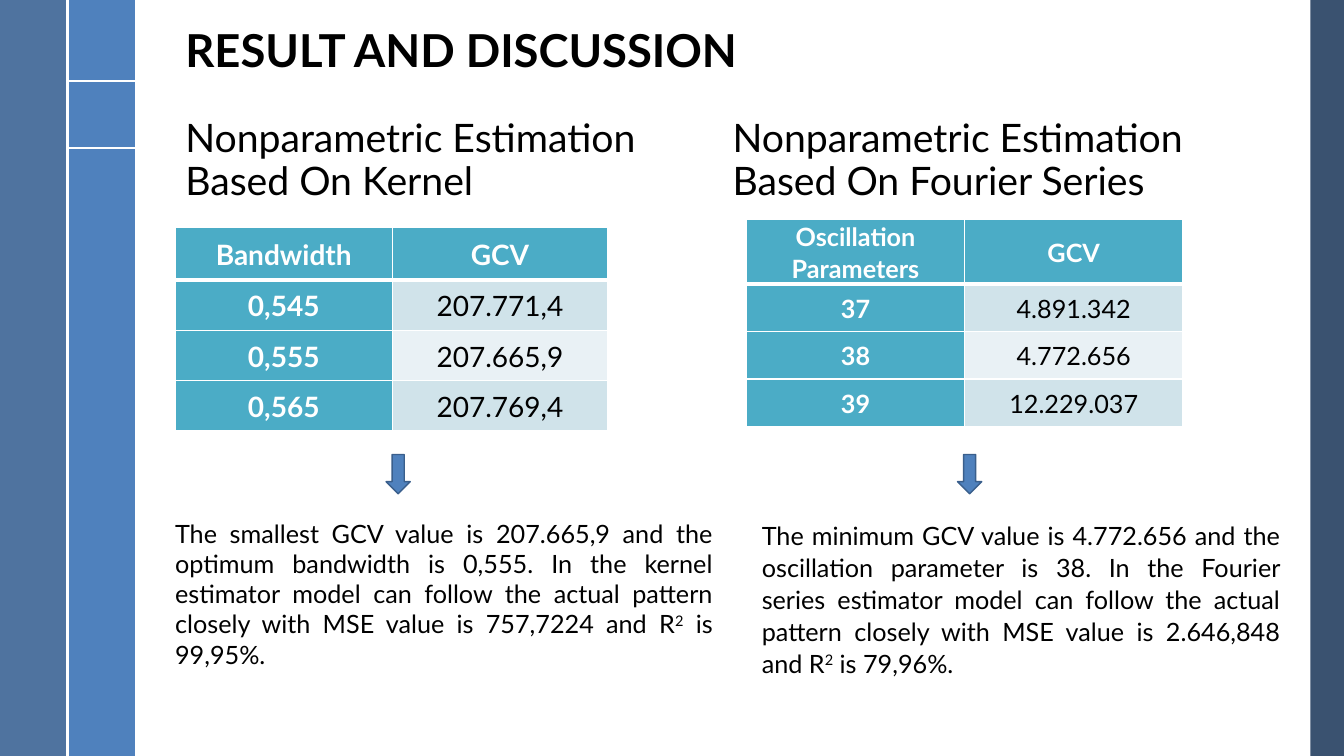
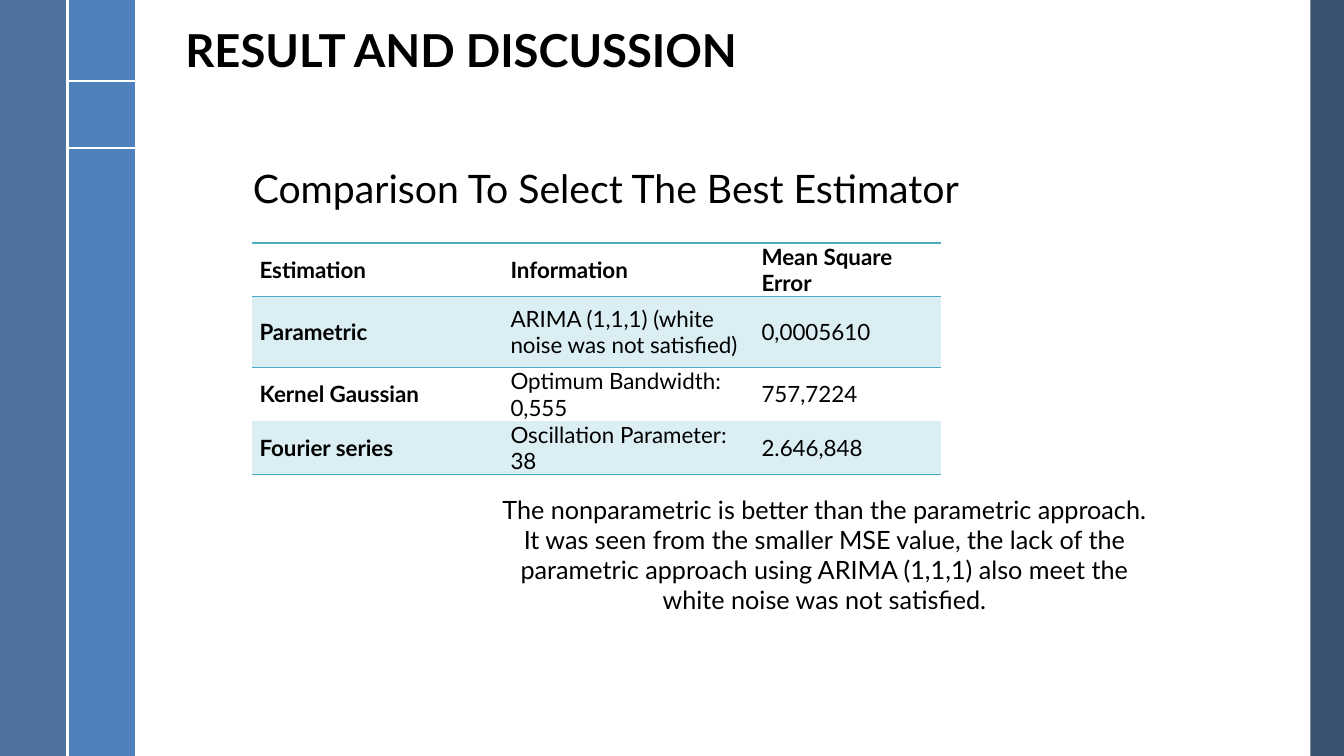
from dataclasses import dataclass

from lxml import etree
from pptx import Presentation
from pptx.dml.color import RGBColor
from pptx.enum.shapes import MSO_CONNECTOR, MSO_SHAPE
from pptx.enum.text import MSO_ANCHOR, PP_ALIGN
from pptx.oxml.ns import qn
from pptx.util import Pt

RECT, DOWN_ARROW = MSO_SHAPE.RECTANGLE, MSO_SHAPE.DOWN_ARROW
LEFT, CENTER, JUSTIFY = PP_ALIGN.LEFT, PP_ALIGN.CENTER, PP_ALIGN.JUSTIFY
TOP, MIDDLE, BOTTOM = MSO_ANCHOR.TOP, MSO_ANCHOR.MIDDLE, MSO_ANCHOR.BOTTOM
NO_TABLE_STYLE = "{2D5ABB26-0587-4C30-8999-92F81FD0307C}"


@dataclass(frozen=True)
class Theme:
    font: str = "Lato"
    text: str = "000000"
    white: str = "FFFFFF"
    blue: str = "4F81BD"
    blue_edge: str = "3A5F8C"
    left_band: str = "376092"
    right_band: str = "254061"
    teal: str = "4BACC6"
    band_dark: str = "D0E3EA"
    band_light: str = "E9F1F5"
    band_pale: str = "DBEEF4"
    title_size: float = 32.4
    heading_size: float = 28
    body_size: float = 18
    comparison_size: float = 16


T = Theme()
WIDTH, HEIGHT = 960, 540
BAND = 48.2
TITLE = "RESULT AND DISCUSSION"

# Boxes are (left, top, width, height)
ESTIMATORS = [
    dict(
        heading="Nonparametric Estimation Based On Kernel",
        heading_box=(125.3, 79, 379.4, 70),
        rows=[("Bandwidth", "GCV"), ("0,545", "207.771,4"),
              ("0,555", "207.665,9"), ("0,565", "207.769,4")],
        table_at=(125.3, 162.5), col_widths=(154.8, 154.1),
        row_heights=(37.4, 36, 36, 36), size=20,
        arrow_left=275.8,
        finding=["The smallest GCV value is 207.665,9 and the optimum bandwidth is "
                 "0,555. In the kernel estimator model can follow the actual pattern "
                 "closely with MSE value is 757,7224 and R", "2", " is 99,95%."],
        finding_box=(118, 366.5, 398.2, 116.6), spacing=1.0,
    ),
    dict(
        heading="Nonparametric Estimation Based On Fourier Series",
        heading_box=(516.2, 79, 379.4, 70),
        rows=[("Oscillation Parameters", "GCV"), ("37", "4.891.342"),
              ("38", "4.772.656"), ("39", "12.229.037")],
        table_at=(533, 157), col_widths=(156.2, 155.5),
        row_heights=(45.8, 34, 34, 34), size=18,
        arrow_left=684,
        finding=["The minimum GCV value is 4.772.656 and the oscillation parameter is "
                 "38. In the Fourier series estimator model can follow the actual "
                 "pattern closely with MSE value is 2.646,848 and R", "2", " is 79,96%."],
        finding_box=(537.1, 366.5, 384.5, 123), spacing=1.06,
    ),
]
COMPARISON = dict(
    heading="Comparison To Select The Best Estimator",
    heading_box=(173.5, 111.6, 720, 45.4),
    rows=[("Estimation", "Information", "Mean Square Error"),
          ("Parametric", "ARIMA (1,1,1) (white noise was not satisfied)", "0,0005610"),
          ("Kernel Gaussian", "Optimum Bandwidth: 0,555", "757,7224"),
          ("Fourier series", "Oscillation Parameter: 38", "2.646,848")],
    table_at=(180, 173.5), col_widths=(179.3, 179.3, 133.9),
    row_heights=(38.3, 50.4, 38.3, 38.3),
    conclusion="The nonparametric is better than the parametric approach. It was seen "
               "from the smaller MSE value, the lack of the parametric approach using "
               "ARIMA (1,1,1) also meet the white noise was not satisfied.",
    conclusion_box=(349.2, 349.2, 479.5, 94.3),
)


def pts(values):
    return [Pt(v) for v in values]


def rgb(color):
    return RGBColor.from_string(color)


def style_runs(p, size, color=T.text, bold=False):
    for r in p.runs:
        r.font.name, r.font.size, r.font.bold = T.font, Pt(size), bold
        r.font.color.rgb = rgb(color)


def add_text(slide, box, parts, size, align=LEFT, anchor=TOP, spacing=1.0, bold=False):
    """Add one paragraph; every second part is superscript."""
    tf = slide.shapes.add_textbox(*pts(box)).text_frame
    tf.word_wrap, tf.vertical_anchor = True, anchor
    p = tf.paragraphs[0]
    p.alignment, p.line_spacing = align, spacing
    for i, part in enumerate(parts):
        r = p.add_run()
        r.text = part
        if i % 2:
            r.font._element.set("baseline", "30000")
    style_runs(p, size, bold=bold)


def add_filled(slide, kind, box, fill, line=None, opacity=100):
    sp = slide.shapes.add_shape(kind, *pts(box))
    sp.shadow.inherit = False
    sp.fill.solid()
    sp.fill.fore_color.rgb = rgb(fill)
    if opacity < 100:
        color = sp._element.spPr.find(".//" + qn("a:srgbClr"))
        etree.SubElement(color, qn("a:alpha")).set("val", str(opacity * 1000))
    if line:
        sp.line.color.rgb, sp.line.width = rgb(line), Pt(1)
    else:
        sp.line.fill.background()


def add_white_line(slide, *ends):
    line = slide.shapes.add_connector(MSO_CONNECTOR.STRAIGHT, *pts(ends))
    line.line.color.rgb, line.line.width = rgb(T.white), Pt(1.5)
    etree.SubElement(line._element.spPr, qn("a:effectLst"))


def set_borders(cell, borders):
    """Draw borders given as {side: (color, width)}, sides L, R, T and B."""
    tc_pr = cell._tc.get_or_add_tcPr()
    for side in "LRTB":
        if side in borders:
            color, width = borders[side]
            ln = etree.SubElement(tc_pr, qn("a:ln" + side), w=str(Pt(width)))
            fill = etree.SubElement(ln, qn("a:solidFill"))
            etree.SubElement(fill, qn("a:srgbClr"), val=color)


def add_table(slide, data, size, align, spacing, cell_style):
    """cell_style(row, column) gives fill, text colour, bold and borders."""
    rows, widths, heights = data["rows"], data["col_widths"], data["row_heights"]
    box = (*data["table_at"], sum(widths), sum(heights))
    table = slide.shapes.add_table(len(rows), len(widths), *pts(box)).table
    table.first_row = table.horz_banding = False
    table._tbl.tblPr.find(qn("a:tableStyleId")).text = NO_TABLE_STYLE
    for column, width in zip(table.columns, widths):
        column.width = Pt(width)
    for row, height in zip(table.rows, heights):
        row.height = Pt(height)
    for i, values in enumerate(rows):
        for j, value in enumerate(values):
            fill, color, bold, borders = cell_style(i, j)
            cell = table.cell(i, j)
            set_borders(cell, borders)
            if fill:
                cell.fill.solid()
                cell.fill.fore_color.rgb = rgb(fill)
            else:
                cell.fill.background()
            cell.vertical_anchor = MIDDLE
            cell.margin_left = cell.margin_right = Pt(5.4)
            cell.margin_top = cell.margin_bottom = 0
            p = cell.text_frame.paragraphs[0]
            p.text = value
            p.alignment, p.line_spacing = align, spacing
            style_runs(p, size, color, bold)


def grid_style(i, j):
    borders = dict.fromkeys("LRTB", (T.white, 1))
    if i < 2:
        borders["TB"[i == 0]] = (T.white, 3)
    if i == 0 or j == 0:
        return T.teal, T.white, True, borders
    return (T.band_dark if i % 2 else T.band_light), T.text, False, borders


def ruled_style(i, j):
    rule = (T.teal, 1)
    last = len(COMPARISON["rows"]) - 1
    borders = {0: {"T": rule, "B": rule}, 1: {"T": rule}, last: {"B": rule}}.get(i, {})
    return (T.band_pale if i % 2 else None), T.text, i == 0 or j == 0, borders


def add_base_slide(prs):
    """Add a slide with the side bands and the title."""
    slide = prs.slides.add_slide(prs.slide_layouts[6])
    add_filled(slide, RECT, (936, 0, 24, HEIGHT), T.right_band, opacity=90)
    add_filled(slide, RECT, (BAND, 0, BAND, HEIGHT), T.blue)
    add_filled(slide, RECT, (0, 0, BAND, HEIGHT), T.left_band, opacity=88)
    for y in (58, 106):
        add_white_line(slide, BAND, y, 2 * BAND, y)
    add_white_line(slide, BAND, 0, BAND, HEIGHT)
    add_text(slide, (125.3, 15, 807.8, 44), [TITLE], T.title_size,
             anchor=BOTTOM, spacing=0.9, bold=True)
    return slide


def build_estimators(prs):
    slide = add_base_slide(prs)
    for est in ESTIMATORS:
        add_text(slide, est["heading_box"], [est["heading"]], T.heading_size,
                 anchor=BOTTOM, spacing=0.9)
        add_table(slide, est, est["size"], CENTER, 1.06, grid_style)
        add_filled(slide, DOWN_ARROW, (est["arrow_left"], 324.7, 17.3, 28), T.blue,
                   line=T.blue_edge)
        add_text(slide, est["finding_box"], est["finding"], T.body_size,
                 align=JUSTIFY, spacing=est["spacing"])


def build_comparison(prs):
    slide = add_base_slide(prs)
    add_text(slide, COMPARISON["heading_box"], [COMPARISON["heading"]],
             T.heading_size, anchor=MIDDLE)
    add_table(slide, COMPARISON, T.comparison_size, LEFT, 1.0, ruled_style)
    add_text(slide, COMPARISON["conclusion_box"], [COMPARISON["conclusion"]],
             T.body_size, align=CENTER)


def main():
    prs = Presentation()
    prs.slide_width, prs.slide_height = Pt(WIDTH), Pt(HEIGHT)
    build_estimators(prs)
    build_comparison(prs)
    prs.save("out.pptx")


if __name__ == "__main__":
    main()
